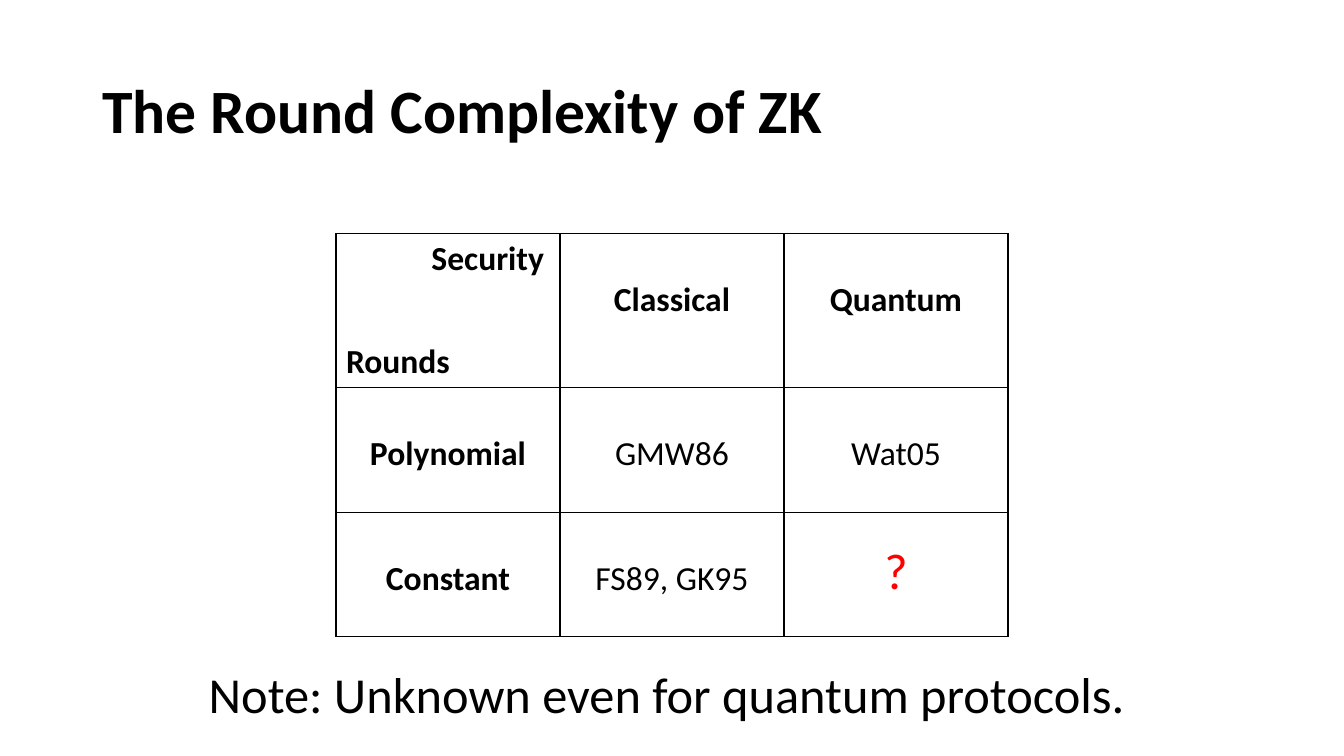
from dataclasses import dataclass

from lxml import etree
from pptx import Presentation
from pptx.dml.color import RGBColor
from pptx.enum.text import MSO_ANCHOR, PP_ALIGN
from pptx.oxml.ns import qn
from pptx.util import Pt

LEFT, CENTER, RIGHT = PP_ALIGN.LEFT, PP_ALIGN.CENTER, PP_ALIGN.RIGHT
MIDDLE, TOP = MSO_ANCHOR.MIDDLE, MSO_ANCHOR.TOP


@dataclass(frozen=True)
class Theme:
    face: str = "Calibri"
    ink: str = "000000"
    paper: str = "FFFFFF"
    alert: str = "FF0000"
    title: int = 44
    note: int = 36
    mark: int = 36
    body: int = 24


THEME = Theme()
HEADS = ("Classical", "Quantum")
ROWS = (
    ("Polynomial", "GMW86", "Wat05"),
    ("Constant", "FS89, GK95", "?"),
)
COL = 160
HEIGHTS = (110, 89, 89)


def style(para, size, bold=False, color=THEME.ink, align=LEFT):
    para.alignment = align
    font = para.font
    font.name = THEME.face
    font.size = Pt(size)
    font.bold = bold
    font.color.rgb = RGBColor.from_string(color)


def place(shape, left, top, width, height):
    shape.left, shape.top = Pt(left), Pt(top)
    shape.width, shape.height = Pt(width), Pt(height)


def add_title(slide, text):
    title = slide.shapes.title
    place(title, 66, 28.75, 828, 104.4)
    frame = title.text_frame
    frame.text = text
    frame.vertical_anchor = MIDDLE
    para = frame.paragraphs[0]
    para.line_spacing = 0.9
    style(para, THEME.title, bold=True)


def add_note(slide, text):
    box = slide.shapes.add_textbox(Pt(142), Pt(470), Pt(677), Pt(51))
    frame = box.text_frame
    frame.word_wrap = True
    frame.text = text
    style(frame.paragraphs[0], THEME.note)


def frame_cell(cell):
    """Give a cell its fill and thin borders."""
    props = cell._tc.get_or_add_tcPr()
    for side in ("a:lnL", "a:lnR", "a:lnT", "a:lnB"):
        line = etree.SubElement(props, qn(side), w=str(Pt(1)))
        fill = etree.SubElement(line, qn("a:solidFill"))
        etree.SubElement(fill, qn("a:srgbClr"), val=THEME.ink)
    cell.fill.solid()
    cell.fill.fore_color.rgb = RGBColor.from_string(THEME.paper)
    cell.vertical_anchor = TOP


def fill_cell(cell, text, bold):
    query = text == "?"
    cell.margin_top = Pt(20.7 if query else 32.9)
    cell.text = text
    size, color = (THEME.mark, THEME.alert) if query else (THEME.body, THEME.ink)
    style(cell.text_frame.paragraphs[0], size, bold, color, CENTER)


def fill_corner(cell, across, down):
    """Label both axes of the table in its corner cell."""
    cell.margin_right = Pt(11.4)
    cell.text = f"{across}\n{down}"
    first, last = cell.text_frame.paragraphs
    style(first, THEME.body, bold=True, align=RIGHT)
    style(last, THEME.body, bold=True)
    last.space_before = Pt(44)


def add_grid(slide):
    size = len(HEIGHTS)
    table = slide.shapes.add_table(
        size, size, Pt(240), Pt(167), Pt(COL * size), Pt(sum(HEIGHTS))
    ).table
    table.first_row = table.horz_banding = False
    for col in table.columns:
        col.width = Pt(COL)
    for row, height in zip(table.rows, HEIGHTS):
        row.height = Pt(height)
    for cell in table.iter_cells():
        frame_cell(cell)

    # Labels and results
    fill_corner(table.cell(0, 0), "Security", "Rounds")
    for c, head in enumerate(HEADS, 1):
        fill_cell(table.cell(0, c), head, True)
    for r, row in enumerate(ROWS, 1):
        for c, text in enumerate(row):
            fill_cell(table.cell(r, c), text, c == 0)


def main():
    deck = Presentation()
    deck.slide_width, deck.slide_height = Pt(960), Pt(540)
    slide = deck.slides.add_slide(deck.slide_layouts[5])
    add_title(slide, "The Round Complexity of ZK")
    add_grid(slide)
    add_note(slide, "Note: Unknown even for quantum protocols.")
    deck.save("out.pptx")


if __name__ == "__main__":
    main()
